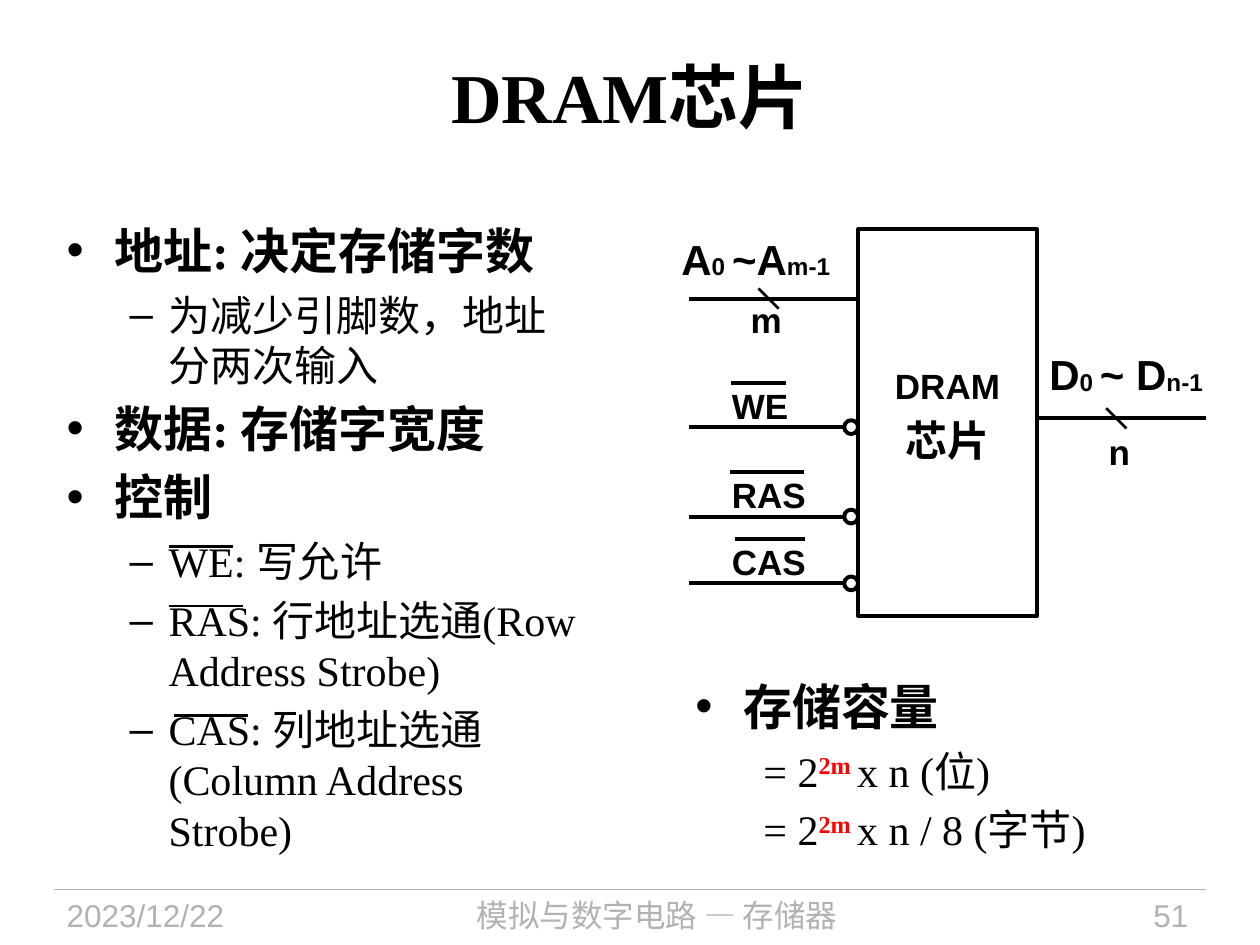
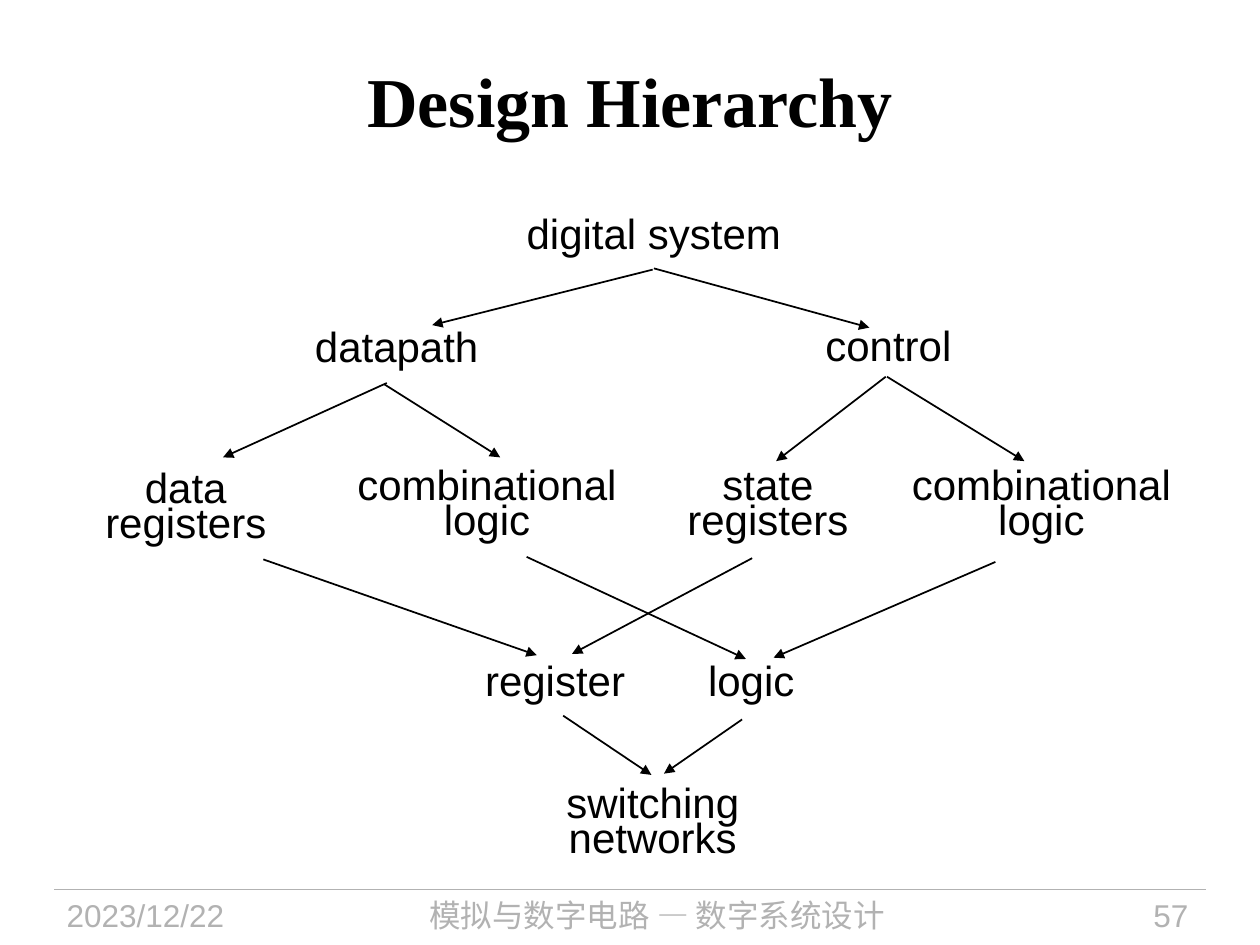
from dataclasses import dataclass

from lxml import etree
from pptx import Presentation
from pptx import util as u
from pptx.dml.color import RGBColor
from pptx.enum import shapes, text
from pptx.oxml.ns import qn


@dataclass(frozen=True)
class Theme:
    ink: str = "000000"
    accent: str = "FF0000"
    muted: str = "B2B2B2"
    paper: str = "FFFFFF"
    serif: str = "Times New Roman"
    sans: str = "Arial"
    cjk: str = "Noto Sans CJK SC"
    title: int = 40
    head: int = 28
    body: int = 24
    label: int = 20
    footer: int = 18
    wide_line: float = 2.25
    bar_line: float = 1.5
    arrow_line: float = 1
    rule_line: float = 0.75


T = Theme()
WIDTH, HEIGHT = 10, 7.5
MARGIN, FOOT_TOP, FOOT_H = 0.43, 7.06, 0.44
LEFT, CENTER, RIGHT = text.PP_ALIGN.LEFT, text.PP_ALIGN.CENTER, text.PP_ALIGN.RIGHT
DATE = "2023/12/22"
COURSE = "模拟与数字电路 — "

# Outline levels: bullet, left margin, hanging indent, size, bold
LEVELS = {
    "head": ("•", 0.38, -0.38, T.head, True),
    "sub": ("–", 0.81, -0.31, T.body, False),
    "formula": (None, 0.54, 0, T.body, False),
}
SIGNAL_NOTES = [
    ("head", "地址: 决定存储字数"),
    ("sub", "为减少引脚数，地址分两次输入"),
    ("head", "数据: 存储字宽度"),
    ("head", "控制"),
    ("sub", "WE: 写允许"),
    ("sub", "RAS: 行地址选通(Row Address Strobe)"),
    ("sub", "CAS: 列地址选通(Column Address Strobe)"),
]
NOTE_OVERBARS = [(1.34, 1.85, 4.34), (1.34, 1.93, 4.81), (1.38, 1.97, 5.68)]

# Formula parts: text, raised exponent or not
CAPACITY = [
    ("head", "存储容量"),
    ("formula", [("= 2", False), ("2m ", True), ("x n (位)", False)]),
    ("formula", [("= 2", False), ("2m ", True), ("x n / 8 (字节)", False)]),
]

CHIP = (6.81, 1.82, 1.42, 3.07)
WIRE = 1.34
ADDRESS_Y, DATA_Y = 2.37, 3.32
# Bus labels: box, parts as (text, subscript or not)
BUS_LABELS = [
    ((5.31, 1.8, 1.47, 0.51), [("A", False), ("0 ", True), ("~A", False), ("m-1", True)]),
    ((8.23, 2.72, 1.5, 0.51), [("D", False), ("0 ", True), ("~ D", False), ("n-1", True)]),
]
BUS_WIDTHS = [("m", (5.86, 2.32, 0.5, 0.43)), ("n", (8.7, 3.37, 0.37, 0.43))]
BUS_SLASHES = [(6.02, 2.29), (8.78, 3.24)]
# Active-low inputs: name, wire height, label width, overbar from and to
LOW_INPUTS = [
    ("WE", 3.39, 0.65, 5.8, 6.24),
    ("RAS", 4.1, 0.79, 5.79, 6.38),
    ("CAS", 4.63, 0.79, 5.83, 6.39),
]
BUBBLE = 0.11

NODES = [
    ("digital system", (4.16, 1.78, 2.4, 0.31)),
    ("datapath", (2.48, 2.68, 1.4, 0.34)),
    ("control", (6.53, 2.67, 1.11, 0.34)),
    ("data\nregisters", (0.56, 3.63, 1.83, 0.84)),
    ("combinational\nlogic", (2.68, 3.64, 2.37, 0.77)),
    ("state\nregisters", (5.26, 3.64, 1.67, 0.77)),
    ("combinational\nlogic", (7.08, 3.64, 2.37, 0.77)),
    ("register", (3.83, 5.33, 1.17, 0.31)),
    ("logic", (5.6, 5.33, 0.74, 0.31)),
    ("switching\nnetworks", (4.14, 6.24, 2.08, 0.65)),
]
ARROWS = [
    ((5.18, 2.14), (3.43, 2.58)), ((5.19, 2.13), (6.9, 2.6)),
    ((3.07, 3.04), (1.77, 3.63)), ((3.05, 3.05), (3.97, 3.63)),
    ((7.03, 2.99), (6.16, 3.66)), ((7.04, 2.99), (8.13, 3.66)),
    ((2.09, 4.44), (4.26, 5.2)), ((4.18, 4.42), (5.92, 5.23)),
    ((5.97, 4.43), (4.54, 5.19)), ((7.9, 4.46), (6.14, 5.22)),
    ((4.47, 5.68), (5.17, 6.15)), ((5.89, 5.71), (5.27, 6.14)),
]


def inches(values):
    return [u.Inches(v) for v in values]


def style(r, size, font=T.sans, color=T.ink, bold=False, baseline=None):
    """Format a run; Chinese glyphs stay sans-serif beside serif Latin ones."""
    r.font.size, r.font.name, r.font.bold = u.Pt(size), font, bold
    r.font.color.rgb = RGBColor.from_string(color)
    rPr = r._r.get_or_add_rPr()
    east_asian = T.sans if font == T.serif else font
    etree.SubElement(rPr, qn("a:ea")).set("typeface", east_asian)
    if baseline:
        rPr.set("baseline", str(baseline * 1000))


def add_box(slide, box, anchor=text.MSO_ANCHOR.TOP, wrap=True):
    tf = slide.shapes.add_textbox(*inches(box)).text_frame
    tf.word_wrap, tf.vertical_anchor = wrap, anchor
    return tf


def add_text(slide, box, words, size, align=LEFT, anchor=text.MSO_ANCHOR.TOP,
             wrap=True, **look):
    tf = add_box(slide, box, anchor, wrap)
    p = tf.paragraphs[0]
    p.text, p.alignment = words, align
    for r in p.runs:
        style(r, size, **look)
    return tf


def add_line(slide, start, end, width=T.wide_line, color=T.ink, arrow=False):
    line = slide.shapes.add_connector(shapes.MSO_CONNECTOR.STRAIGHT,
                                      *inches(start + end))
    line.line.width = u.Pt(width)
    line.line.color.rgb = RGBColor.from_string(color)
    if arrow:
        etree.SubElement(line.line._get_or_add_ln(), qn("a:tailEnd")).set("type", "triangle")
    etree.SubElement(line._element.spPr, qn("a:effectLst"))


def add_outline(slide, kind, box, fill=None):
    sp = slide.shapes.add_shape(kind, *inches(box))
    sp.shadow.inherit = False
    sp.line.width = u.Pt(T.wide_line)
    sp.line.color.rgb = RGBColor.from_string(T.ink)
    if fill:
        sp.fill.solid()
        sp.fill.fore_color.rgb = RGBColor.from_string(fill)
    else:
        sp.fill.background()


def add_outline_text(slide, box, items):
    """Write bulleted levels; an item is a string or a list of formula parts."""
    tf = add_box(slide, box)
    for i, (level, words) in enumerate(items):
        bullet, margin, indent, size, bold = LEVELS[level]
        p = tf.add_paragraph() if i else tf.paragraphs[0]
        p.space_after = u.Pt(size * 0.2)
        pPr = p._p.get_or_add_pPr()
        pPr.set("marL", str(u.Inches(margin)))
        pPr.set("indent", str(u.Inches(indent)))
        if bullet:
            etree.SubElement(pPr, qn("a:buFont")).set("typeface", T.sans)
            etree.SubElement(pPr, qn("a:buChar")).set("char", bullet)
        parts = [(words, False)] if isinstance(words, str) else words
        for part, raised in parts:
            r = p.add_run()
            r.text = part
            style(r, size, T.serif, T.accent if raised else T.ink,
                  bold or raised, 30 if raised else None)


def new_slide(prs, title, title_box, topic, number):
    slide = prs.slides.add_slide(prs.slide_layouts[6])
    add_line(slide, (MARGIN, FOOT_TOP), (WIDTH - MARGIN, FOOT_TOP), T.rule_line, T.muted)
    footers = [
        (DATE, MARGIN, 1.88, LEFT, T.sans),
        (COURSE + topic, 2.4, 5.63, CENTER, T.cjk),
        (str(number), 8.2, 1.33, RIGHT, T.sans),
    ]
    for words, left, width, align, font in footers:
        add_text(slide, (left, FOOT_TOP, width, FOOT_H), words, T.footer, align,
                 font=font, color=T.muted)
    add_text(slide, title_box, title, T.title, CENTER, text.MSO_ANCHOR.MIDDLE,
             font=T.serif, bold=True)
    return slide


def draw_chip(slide):
    left, _, width, _ = CHIP
    right, start = left + width, left - WIRE
    add_outline(slide, shapes.MSO_SHAPE.RECTANGLE, CHIP)
    tf = add_text(slide, (6.89, 2.84, 1.26, 0.91), "DRAM", T.label, CENTER, bold=True)
    p = tf.add_paragraph()
    p.text, p.alignment, p.space_before = "芯片", CENTER, u.Pt(T.body * 0.2)
    style(p.runs[0], T.body, bold=True)

    add_line(slide, (start, ADDRESS_Y), (left, ADDRESS_Y))
    add_line(slide, (right, DATA_Y), (right + WIRE, DATA_Y))
    for x, y in BUS_SLASHES:
        add_line(slide, (x, y), (x + 0.16, y + 0.16), T.bar_line)
    for box, parts in BUS_LABELS:
        p = add_box(slide, box, wrap=False).paragraphs[0]
        for part, lowered in parts:
            r = p.add_run()
            r.text = part
            style(r, T.body, bold=True, baseline=-2 if lowered else None)
    for words, box in BUS_WIDTHS:
        add_text(slide, box, words, T.label, bold=True)

    for name, y, label_width, bar_from, bar_to in LOW_INPUTS:
        add_line(slide, (start, y), (left, y))
        add_line(slide, (bar_from, y - 0.35), (bar_to, y - 0.35))
        add_text(slide, (5.71, y - 0.39, label_width, 0.43), name, T.label,
                 wrap=False, bold=True)
        add_outline(slide, shapes.MSO_SHAPE.OVAL,
                    (left - BUBBLE, y - BUBBLE / 2, BUBBLE, BUBBLE), T.paper)


def dram_slide(prs):
    slide = new_slide(prs, "DRAM芯片", (0.5, 0.25, 9, 1.01), "存储器", 51)
    add_outline_text(slide, (MARGIN, 1.7, 4.3, 5.28), SIGNAL_NOTES)
    for x1, x2, y in NOTE_OVERBARS:
        add_line(slide, (x1, y), (x2, y), T.bar_line)
    draw_chip(slide)
    add_outline_text(slide, (5.42, 5.32, 3.71, 1.68), CAPACITY)


def hierarchy_slide(prs):
    slide = new_slide(prs, "Design Hierarchy", (0.5, 0.3, 9, 0.98), "数字系统设计", 57)
    last = NODES[-1][0]
    for words, box in NODES:
        stacked = "\n" in words
        middle = stacked and words != last
        tf = add_text(slide, box, words, T.body, CENTER if stacked else LEFT,
                      text.MSO_ANCHOR.MIDDLE if middle else text.MSO_ANCHOR.TOP)
        tf.margin_left = tf.margin_right = u.Inches(0.02)
        tf.margin_top = tf.margin_bottom = u.Inches(0.03)
        tf.paragraphs[0].line_spacing = 0.7 if stacked else u.Pt(17)
    for start, end in ARROWS:
        add_line(slide, start, end, T.arrow_line, arrow=True)


def main():
    prs = Presentation()
    prs.slide_width, prs.slide_height = inches((WIDTH, HEIGHT))
    dram_slide(prs)
    hierarchy_slide(prs)
    prs.save("out.pptx")


if __name__ == "__main__":
    main()
